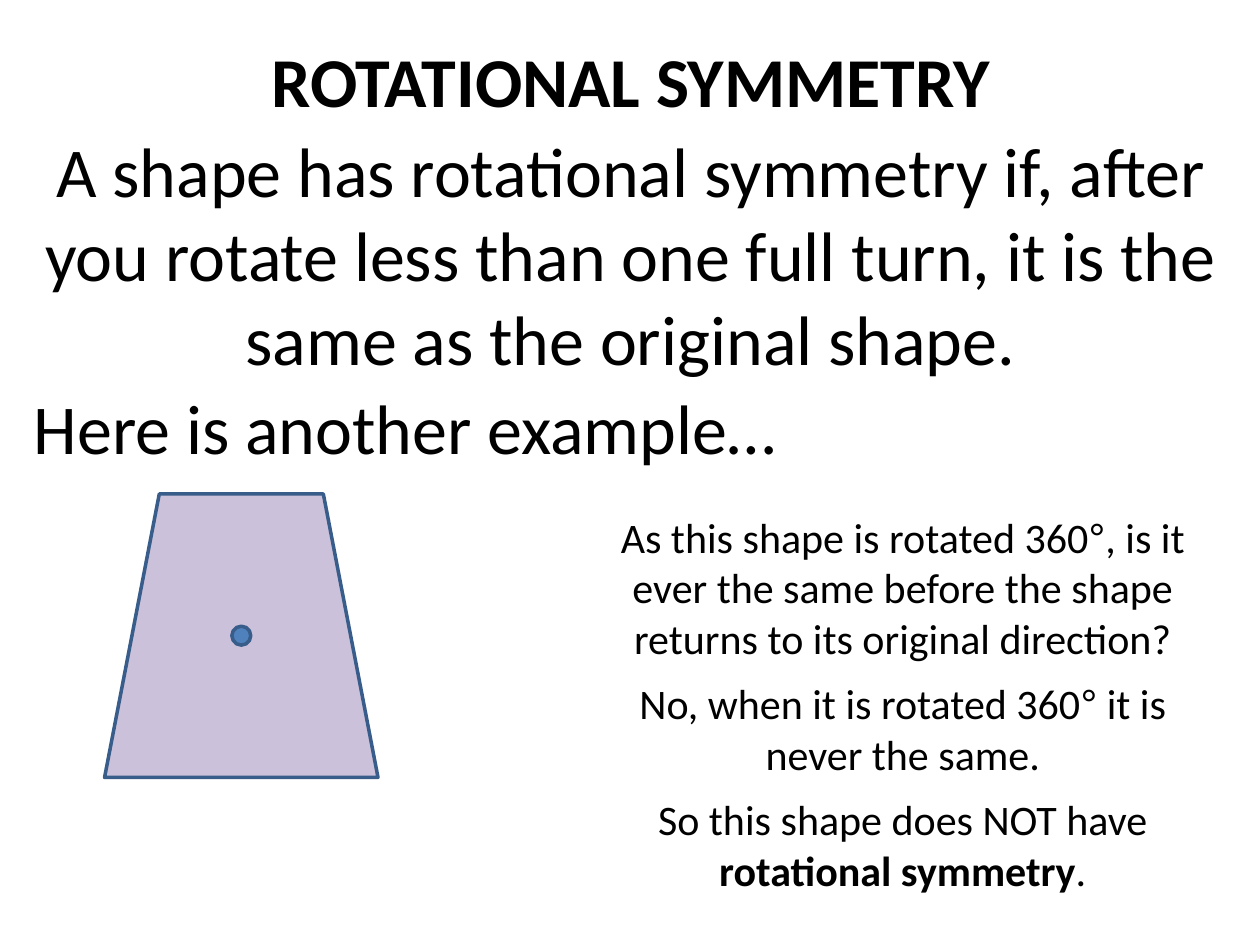
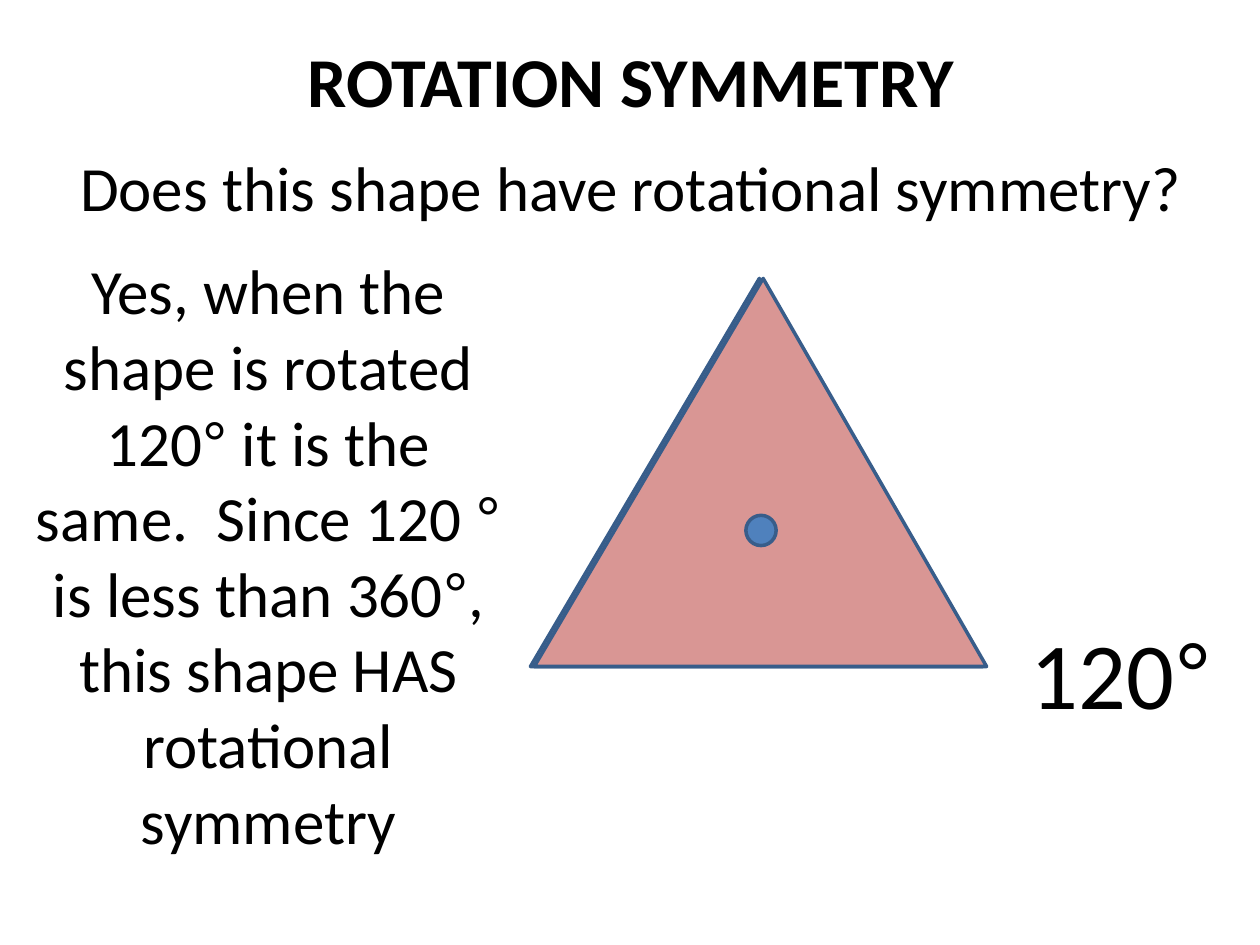
from itertools import groupby

from pptx import Presentation
from pptx.dml.color import RGBColor
from pptx.enum.shapes import MSO_SHAPE
from pptx.enum.text import PP_ALIGN
from pptx.util import Pt

PX = 9144  # 100 px to the inch
BLACK = RGBColor(0x00, 0x00, 0x00)
GREY = RGBColor(0xBF, 0xBF, 0xBF)
LILAC = RGBColor(0xCC, 0xC1, 0xDA)
ROSE = RGBColor(0xD9, 0x96, 0x94)
BLUE = RGBColor(0x4F, 0x81, 0xBD)
OUTLINE = RGBColor(0x38, 0x5D, 0x8A)
CENTER, LEFT = PP_ALIGN.CENTER, PP_ALIGN.LEFT
TRAPEZOID = MSO_SHAPE.FLOWCHART_MANUAL_OPERATION
TRIANGLE, DOT = MSO_SHAPE.ISOSCELES_TRIANGLE, MSO_SHAPE.OVAL
TITLE_BOX = (17, 25, 967, 77)


def add_text(s, box, size, *parts, align=CENTER):
    """One paragraph; each part is (text, bold), degree signs are in Arial."""
    tf = s.shapes.add_textbox(*(v * PX for v in box)).text_frame
    tf.word_wrap = True
    p = tf.paragraphs[0]
    p.alignment = align
    for text, bold in parts:
        for is_degree, chars in groupby(text, lambda c: c == "°"):
            r = p.add_run()
            r.text = "".join(chars)
            r.font.name = "Arial" if is_degree else "Calibri"
            r.font.size = Pt(size)
            r.font.bold = bold
            r.font.color.rgb = BLACK


def add_figure(s, kind, box, fill):
    sp = s.shapes.add_shape(kind, *(v * PX for v in box))
    sp.shadow.inherit = False
    sp.fill.solid()
    sp.fill.fore_color.rgb = fill
    sp.line.color.rgb = OUTLINE
    sp.line.width = Pt(2)
    return sp


prs = Presentation()
prs.slide_width, prs.slide_height = 1000 * PX, 750 * PX
blank = prs.slide_layouts[6]

# Slide 1: a trapezoid without rotational symmetry
s = prs.slides.add_slide(blank)
add_text(s, TITLE_BOX, 40, ("ROTATIONAL SYMMETRY", True))
add_text(s, (17, 96, 967, 210), 40,
         ("A shape has rotational symmetry if, after you rotate less than "
          "one full turn, it is the same as the original shape.", False))
add_text(s, (17, 300, 967, 77), 40,
         ("Here is another example…", False), align=LEFT)

sp = add_figure(s, TRAPEZOID, (83, 392, 217, 225), LILAC)
sp.rotation = 180
add_figure(s, DOT, (184, 497, 15, 15), BLUE)

add_text(s, (450, 401, 533, 130), 24,
         ("As this shape is rotated 360°, is it ever the same before the "
          "shape returns to its original direction?", False))
add_text(s, (458, 533, 517, 90), 24,
         ("No, when it is rotated 360° it is never the same.", False))
add_text(s, (458, 625, 517, 90), 24,
         ("So this shape does NOT have ", False),
         ("rotational symmetry", True), (".", False))

# Slide 2: a triangle with rotational symmetry
s = prs.slides.add_slide(blank)
add_text(s, TITLE_BOX, 40, ("ROTATION SYMMETRY", True))
add_text(s, (17, 113, 967, 70), 36,
         ("Does this shape have rotational symmetry?", False))

# Starting position behind the turning triangle
for left, fill in ((421, GREY), (424, ROSE)):
    sp = add_figure(s, TRIANGLE, (left, 221, 359, 308), fill)
    sp.adjustments[0] = 0.506
add_figure(s, DOT, (592, 409, 24, 24), BLUE)

add_text(s, (808, 483, 167, 100), 54, ("120°", False), align=LEFT)
add_text(s, (17, 195, 392, 490), 36,
         ("Yes, when the shape is rotated 120° it is the same.  Since 120 ° "
          "is less than 360°, this shape HAS rotational symmetry", False))

prs.save("out.pptx")
